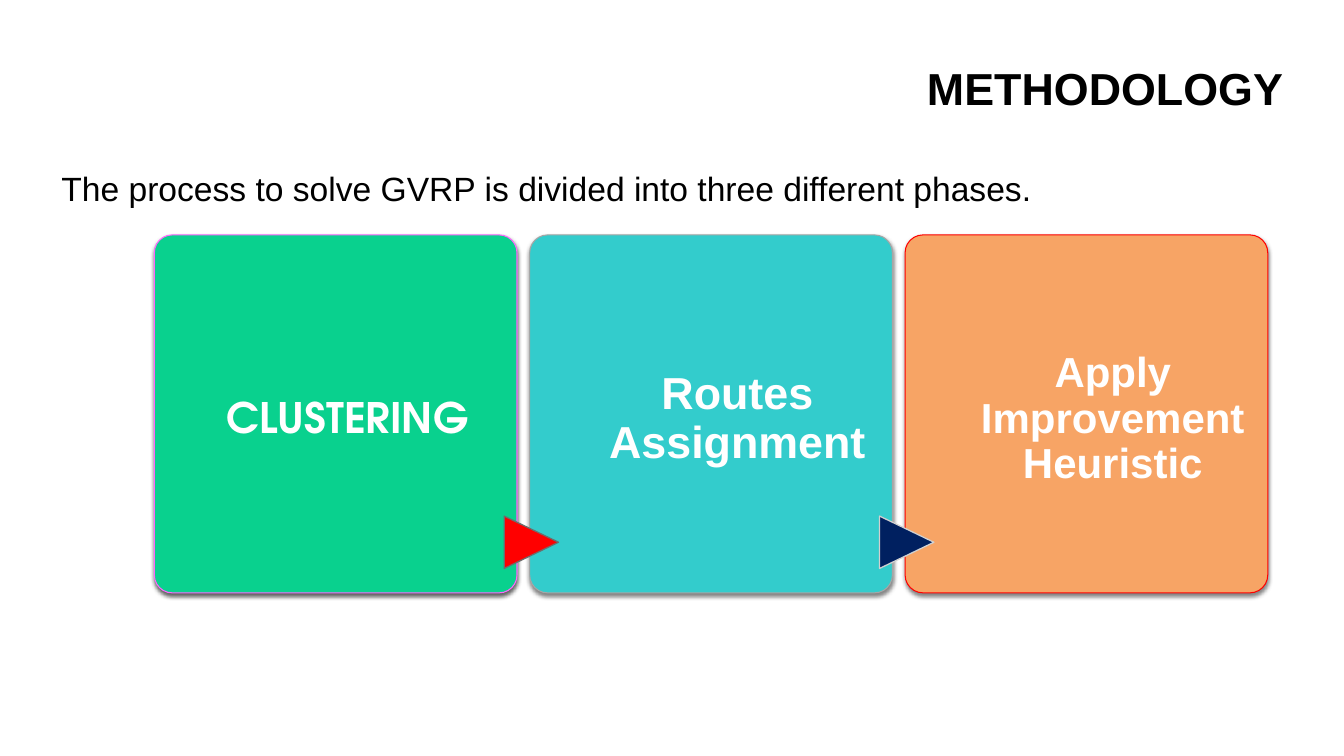
from lxml import etree
from pptx import Presentation
from pptx import util as u
from pptx.dml.color import RGBColor
from pptx.enum import shapes, text
from pptx.oxml.ns import qn

BLACK = RGBColor(0x00, 0x00, 0x00)
WHITE = RGBColor(0xFF, 0xFF, 0xFF)
GREEN = RGBColor(0x09, 0xD1, 0x8E)
PINK = RGBColor(0xFF, 0x66, 0xFF)
TEAL = RGBColor(0x33, 0xCC, 0xCC)
GREY = RGBColor(0xA6, 0xA6, 0xA6)
ORANGE = RGBColor(0xF7, 0xA4, 0x65)
RED = RGBColor(0xFF, 0x00, 0x00)
NAVY = RGBColor(0x00, 0x20, 0x60)
DARK = RGBColor(0x45, 0x45, 0x45)
MID = RGBColor(0x6D, 0x6D, 0x6D)
PALE = RGBColor(0xD0, 0xD0, 0xD0)

deck = Presentation()
deck.slide_width, deck.slide_height = u.Cm(33.87), u.Cm(19.05)
slide = deck.slides.add_slide(deck.slide_layouts[6])


def write(place, words, size, color, align, bold=True, font="Arial", space=0.9):
    """Add a wrapped text box at place (cm) and return its frame."""
    frame = slide.shapes.add_textbox(*map(u.Cm, place)).text_frame
    frame.word_wrap = True
    frame.vertical_anchor = text.MSO_ANCHOR.MIDDLE
    para = frame.paragraphs[0]
    para.alignment = align
    para.line_spacing = space
    run = para.add_run()
    run.text = words
    run.font.name, run.font.size, run.font.bold = font, u.Pt(size), bold
    run.font.color.rgb = color
    return frame


def draw(kind, place, fill, line, width):
    """Add a filled preset shape at place (cm), without a shadow."""
    shape = slide.shapes.add_shape(kind, *map(u.Cm, place))
    shape.shadow.inherit = False
    shape.fill.solid()
    shape.fill.fore_color.rgb = fill
    shape.line.color.rgb = line
    shape.line.width = u.Pt(width)
    return shape


left, center, right = text.PP_ALIGN.LEFT, text.PP_ALIGN.CENTER, text.PP_ALIGN.RIGHT
write((8.66, 0.51, 23.93, 3.58), "METHODOLOGY", 32, BLACK, right)

# words, size, font, align, fill, line, shadow, arrow fill and line
phases = [
    ("CLUSTERING", 30, "TeX Gyre Adventor", left, GREEN, PINK, DARK, None),
    ("Routes Assignment", 32, "Arial", center, TEAL, GREY, MID, (RED, MID)),
    ("Apply Improvement Heuristic", 30, "Arial", center, ORANGE, RED, MID, (NAVY, PALE)),
]
START, STEP, TOP, WIDE, HIGH = 3.89, 9.46, 5.92, 9.14, 9.02

for i, (words, size, font, align, fill, line, shade, arrow) in enumerate(phases):
    x = START + i * STEP
    card = draw(shapes.MSO_SHAPE.ROUNDED_RECTANGLE, (x, TOP, WIDE, HIGH), fill, line, 0.75)
    card.adjustments[0] = 0.05
    effects = card._element.spPr.find(qn("a:effectLst"))
    shadow = etree.SubElement(
        effects, qn("a:outerShdw"), blurRad=str(u.Pt(3.1)), dist=str(u.Pt(2)),
        dir="5400000", algn="ctr", rotWithShape="0")
    tint = etree.SubElement(shadow, qn("a:srgbClr"), val=str(shade))
    etree.SubElement(tint, qn("a:alpha"), val="83000")

    if arrow:
        mark = draw(shapes.MSO_SHAPE.FLOWCHART_EXTRACT, (x - 0.62, 12.98, 1.32, 1.37), *arrow, 0.9)
        mark.rotation = 90

    frame = write((x + 1.83, TOP, 6.81, HIGH), words, size, WHITE, align, font=font)
    frame.margin_left = frame.margin_right = frame.margin_bottom = 0
    frame.margin_top = u.Cm(0.29)

write((1.3, 4.11, 26.44, 1.27),
      "The process to solve GVRP is divided into three different phases.",
      24, BLACK, left, bold=False, space=1.0)

deck.save("out.pptx")
